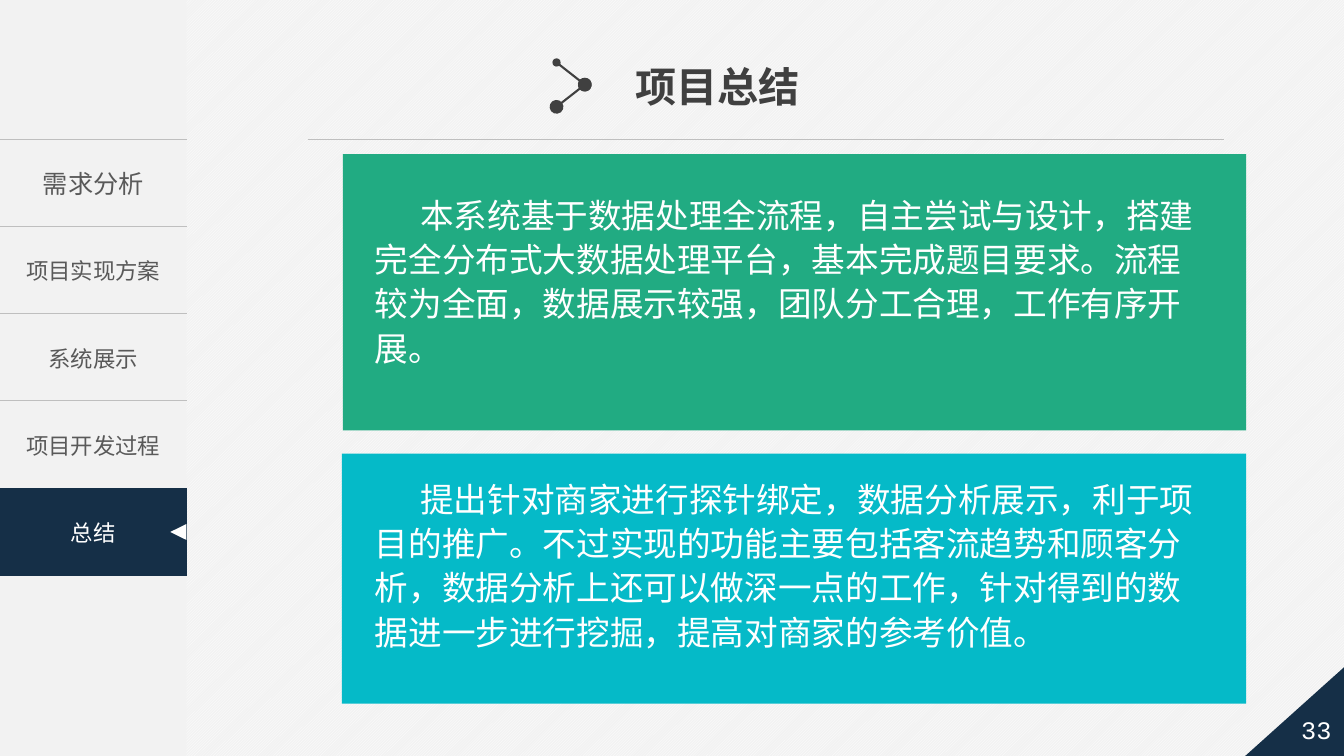
from lxml import etree
from pptx import Presentation
from pptx.dml.color import RGBColor
from pptx.enum.dml import MSO_PATTERN
from pptx.enum.shapes import MSO_CONNECTOR, MSO_SHAPE
from pptx.enum.text import MSO_ANCHOR, MSO_AUTO_SIZE, PP_ALIGN
from pptx.oxml.ns import qn
from pptx.util import Inches, Pt

CENTER, LEFT = PP_ALIGN.CENTER, PP_ALIGN.LEFT
MIDDLE, TOP = MSO_ANCHOR.MIDDLE, MSO_ANCHOR.TOP
RECTANGLE = MSO_SHAPE.RECTANGLE
TRIANGLE = MSO_SHAPE.ISOSCELES_TRIANGLE
RIGHT_TRIANGLE = MSO_SHAPE.RIGHT_TRIANGLE
STRAIGHT = MSO_CONNECTOR.STRAIGHT
DIAGONAL_PATTERN = MSO_PATTERN.LIGHT_UPWARD_DIAGONAL
NO_AUTO_SIZE = MSO_AUTO_SIZE.NONE

CJK_FONT = "Noto Sans CJK SC"
NAVY, WHITE, PALE = "152F47", "FFFFFF", "F2F2F2"
DARK, GRAY, RULE = "404040", "595959", "BFBFBF"

MENU = [("需求分析", 18), ("项目实现方案", 16), ("系统展示", 16),
        ("项目开发过程", 16), ("总结", 16)]
ACTIVE_ROW = len(MENU) - 1
SIDEBAR_WIDTH, MENU_TOP, MENU_HEIGHT = 1.85, 1.38, 4.33
ROW_HEIGHT = MENU_HEIGHT / len(MENU)

# Panel box, colour, top of its text, text
PANELS = [
    ((3.4, 1.53, 8.96, 2.74), "21AB82", 1.84,
     "本系统基于数据处理全流程，自主尝试与设计，搭建完全分布式大数据处理平台，"
     "基本完成题目要求。流程较为全面，数据展示较强，团队分工合理，工作有序开展。"),
    ((3.39, 4.5, 8.97, 2.48), "05BAC8", 4.66,
     "提出针对商家进行探针绑定，数据分析展示，利于项目的推广。"
     "不过实现的功能主要包括客流趋势和顾客分析，数据分析上还可以做深一点的工作，"
     "针对得到的数据进一步进行挖掘，提高对商家的参考价值。"),
]


def rgb(color):
    return RGBColor.from_string(color)


def write_text(frame, text, size, color, font=CJK_FONT, align=LEFT, bold=False):
    paragraph = frame.paragraphs[0]
    paragraph.text = text
    paragraph.alignment = align
    paragraph.font.name = font
    paragraph.font.size = Pt(size)
    paragraph.font.bold = bold
    paragraph.font.color.rgb = rgb(color)
    latin = paragraph._p.find(".//" + qn("a:latin"))
    east_asian = etree.Element(qn("a:ea"), typeface=font)
    latin.addnext(east_asian)
    return paragraph


def add_block(slide, kind, box, color):
    shape = slide.shapes.add_shape(kind, *map(Inches, box))
    shape.shadow.inherit = False
    shape.fill.solid()
    shape.fill.fore_color.rgb = rgb(color)
    shape.line.fill.background()
    return shape


def add_text_box(slide, box):
    frame = slide.shapes.add_textbox(*map(Inches, box)).text_frame
    frame.word_wrap = True
    return frame


def add_line(slide, start, end, color, width, head_size=None, tail_size=None):
    line = slide.shapes.add_connector(STRAIGHT, *map(Inches, start + end))
    line.line.color.rgb = rgb(color)
    line.line.width = Pt(width)
    outline = line.line._get_or_add_ln()
    for tag, size in (("a:headEnd", head_size), ("a:tailEnd", tail_size)):
        if size:
            etree.SubElement(outline, qn(tag), type="oval", w=size, len=size)
    etree.SubElement(line._element.spPr, qn("a:effectLst"))


def set_cell_borders(cell, color):
    properties = cell._tc.get_or_add_tcPr()
    sides = (("a:lnL", False), ("a:lnR", False), ("a:lnT", True), ("a:lnB", True))
    for position, (tag, visible) in enumerate(sides):
        border = etree.Element(qn(tag), w=str(Pt(1)))
        if visible:
            fill = etree.SubElement(border, qn("a:solidFill"))
            etree.SubElement(fill, qn("a:srgbClr"), val=color)
        else:
            etree.SubElement(border, qn("a:noFill"))
        properties.insert(position, border)


def add_menu(slide):
    box = (0, MENU_TOP, SIDEBAR_WIDTH, MENU_HEIGHT)
    table = slide.shapes.add_table(len(MENU), 1, *map(Inches, box)).table
    table.first_row = table.horz_banding = False
    for index, (label, size) in enumerate(MENU):
        active = index == ACTIVE_ROW
        table.rows[index].height = Inches(ROW_HEIGHT)
        cell = table.cell(index, 0)
        cell.vertical_anchor = MIDDLE
        if active:
            cell.fill.solid()
            cell.fill.fore_color.rgb = rgb(NAVY)
        else:
            cell.fill.background()
        set_cell_borders(cell, NAVY if active else RULE)
        write_text(cell.text_frame, label, size, WHITE if active else GRAY,
                   align=CENTER)
    # Marker of the active row
    side = 0.16
    middle = MENU_TOP + ROW_HEIGHT * (ACTIVE_ROW + 0.5)
    marker = add_block(slide, TRIANGLE,
                       (SIDEBAR_WIDTH - side, middle - side / 2, side, side), WHITE)
    marker.rotation = 270


def add_title(slide):
    title = slide.shapes.title
    title.left, title.top, title.width, title.height = map(
        Inches, (6.2, 0.56, 2.2, 0.59))
    frame = title.text_frame
    frame.word_wrap = True
    frame.auto_size = NO_AUTO_SIZE
    frame.vertical_anchor = TOP
    write_text(frame, "项目总结", 29.4, DARK, font="Arial", bold=True)
    # Node icon beside the title
    add_line(slide, (5.52, 0.62), (5.8, 0.84), DARK, 1.5, "med", "lg")
    add_line(slide, (5.8, 0.84), (5.52, 1.06), DARK, 1.5, "lg", "lg")


def add_panel(slide, box, color, text_top, text):
    add_block(slide, RECTANGLE, box, color)
    frame = add_text_box(slide, (3.62, text_top, 8.52, 1.87))
    paragraph = write_text(frame, text, 24, WHITE)
    paragraph.line_spacing = 1.1
    paragraph._p.get_or_add_pPr().set("indent", str(Inches(0.45)))


def add_page_number(slide):
    corner = add_block(slide, RIGHT_TRIANGLE, (12.35, 6.62, 0.98, 0.88), NAVY)
    corner._element.spPr.xfrm.set("flipH", "1")
    frame = add_text_box(slide, (12.78, 6.97, 0.55, 0.53))
    frame.margin_left = frame.margin_right = 0
    frame.vertical_anchor = MIDDLE
    write_text(frame, "33", 18, WHITE, font="Courier New", align=CENTER)


def main():
    presentation = Presentation()
    presentation.slide_width = Inches(13.33)
    presentation.slide_height = Inches(7.5)
    slide = presentation.slides.add_slide(presentation.slide_layouts[5])

    # Background
    background = slide.background.fill
    background.patterned()
    background.pattern = DIAGONAL_PATTERN
    background.fore_color.rgb = rgb(WHITE)
    background.back_color.rgb = rgb(PALE)

    # Sidebar
    add_block(slide, RECTANGLE, (0, 0, SIDEBAR_WIDTH, 7.5), PALE)
    add_menu(slide)

    # Header
    add_title(slide)
    add_line(slide, (3.05, MENU_TOP), (12.14, MENU_TOP), RULE, 0.5)

    # Content
    for panel in PANELS:
        add_panel(slide, *panel)
    add_page_number(slide)

    presentation.save("out.pptx")


if __name__ == "__main__":
    main()
